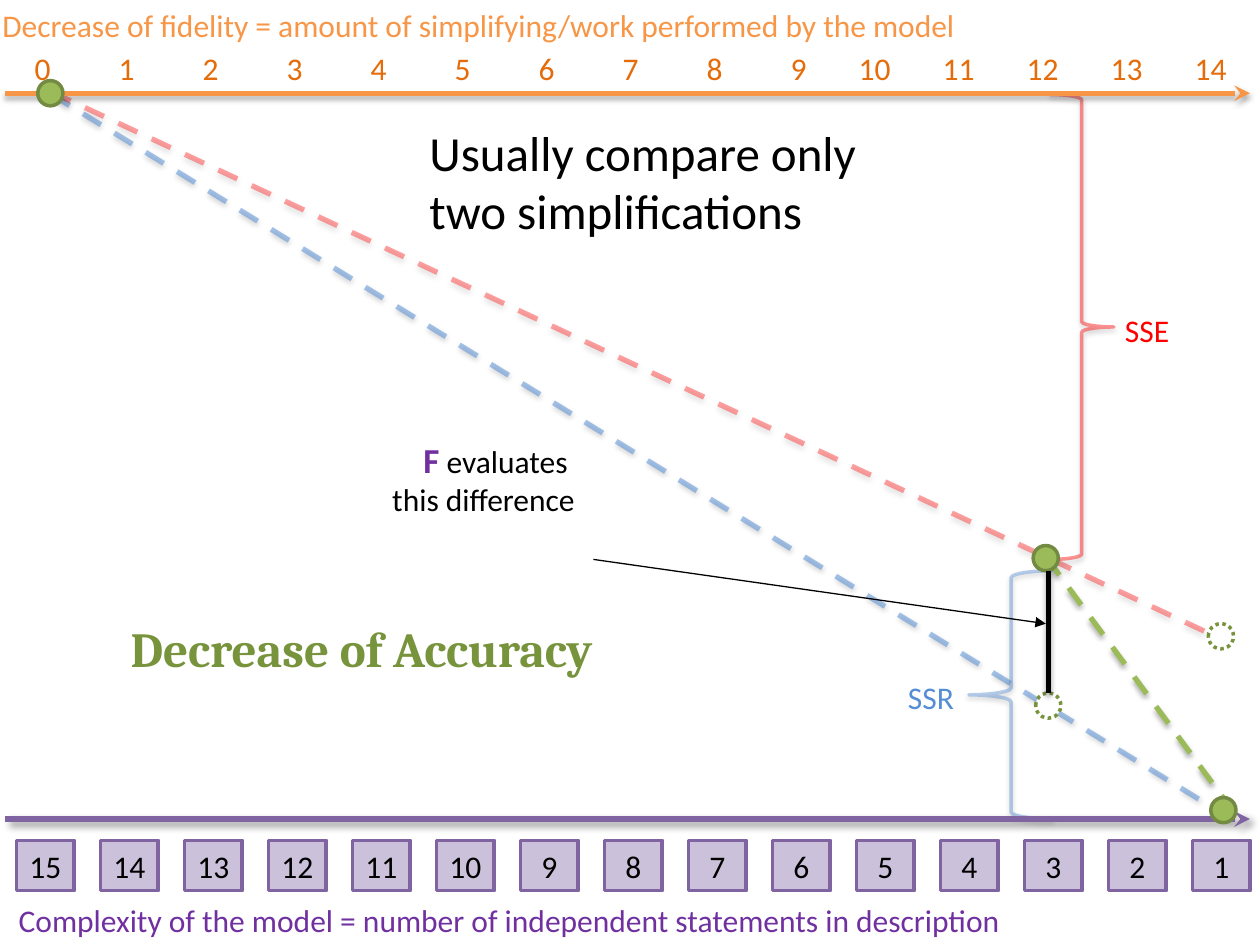
from typing import NamedTuple, Optional

from lxml.etree import SubElement as Sub
from pptx import Presentation
from pptx.dml.color import RGBColor as RGB
from pptx.enum.dml import MSO_LINE as Dash
from pptx.enum.shapes import MSO_CONNECTOR as Link, MSO_SHAPE as Form
from pptx.enum.text import MSO_ANCHOR as Anchor, MSO_AUTO_SIZE as Fit, PP_ALIGN as Align
from pptx.oxml.ns import qn
from pptx.util import Inches, Pt

# The slide is a grid of 100 columns by 75 rows of square cells.
CELL = Inches(0.1)
COLS, ROWS = 100, 75
STEPS = 15
PITCH = COLS / STEPS

BLACK = RGB(0x00, 0x00, 0x00)
WHITE = RGB(0xFF, 0xFF, 0xFF)
RED = RGB(0xFF, 0x00, 0x00)
BLUE = RGB(0x55, 0x8E, 0xD5)
GREEN = RGB(0x9B, 0xBB, 0x59)
MOSS = RGB(0x77, 0x93, 0x3C)
RIM = RGB(0x73, 0x8A, 0x42)
ORANGE = RGB(0xF7, 0x96, 0x46)
RUST = RGB(0xE4, 0x6C, 0x0A)
PURPLE = RGB(0x80, 0x64, 0xA2)
LILAC = RGB(0xCC, 0xC1, 0xDA)
VIOLET = RGB(0x70, 0x30, 0xA0)


class Box(NamedTuple):
    x: float
    y: float
    w: float
    h: float


class Shade(NamedTuple):
    alpha: int
    blur: float
    dist: float
    angle: int


class Pen(NamedTuple):
    color: RGB
    width: float
    dash: Optional[Dash] = None
    alpha: int = 100
    head: str = ""
    shade: Optional[Shade] = None


class Words(NamedTuple):
    text: str
    color: RGB
    size: int = 18
    bold: bool = False
    face: str = "Calibri"


class Note(NamedTuple):
    box: Box
    words: Words
    align: Align = Align.LEFT


class Trend(NamedTuple):
    start: tuple
    end: tuple
    pen: Pen


class Brace(NamedTuple):
    box: Box
    color: RGB
    flip: bool


SOFT = Shade(35, 3.1, 1.8, 90)
EVEN = Shade(38, 3.1, 1.6, 90)
DEEP = Shade(40, 4, 3, 45)

TRENDS = [
    Trend((83.1, 44.3), (98.4, 65.1), Pen(GREEN, 3, Dash.DASH, shade=SOFT)),
    Trend((4.1, 7.5), (98.2, 65.3), Pen(BLUE, 3, Dash.DASH, 52, shade=SOFT)),
    Trend((4.1, 7.3), (97.1, 50.8), Pen(RED, 3, Dash.DASH, 37, shade=SOFT)),
]
BRACES = [
    Brace(Box(83.3, 7.5, 5.1, 36.9), RED, False),
    Brace(Box(76.9, 45.3, 6.7, 19.7), BLUE, True),
]
NOTES = [
    Note(Box(3, 48.6, 51.4, 5.7),
         Words("Decrease of Accuracy", MOSS, 28, True, "Cambria"), Align.CENTER),
    Note(Box(33.1, 9.2, 40.2, 10.4),
         Words("Usually compare only two simplifications", BLACK, 28)),
    Note(Box(88.3, 24.2, 11.1, 4.2), Words("SSE", RED)),
    Note(Box(65.6, 53.3, 11.1, 4.2), Words("SSR", BLUE), Align.RIGHT),
    Note(Box(-0.8, 0, 82.5, 4), Words(
        "Decrease of fidelity = amount of simplifying/work performed by the model", ORANGE)),
    Note(Box(0.5, 71, 82.5, 4), Words(
        "Complexity of the model = number of independent statements in description", VIOLET)),
]
AXES = [
    (7.4, Pen(ORANGE, 3, head="stealth", shade=SOFT)),
    (65, Pen(PURPLE, 3, head="stealth", shade=DEEP)),
]
DOT = 2
FULL = [(96.1, 63.3), (3, 6.4), (82, 43.3)]
HOLLOW = [(82.2, 55), (95.9, 49.5)]


def cells(*spans: float) -> list:
    return [round(span * CELL) for span in spans]


def ink(shape, pen: Pen) -> None:
    """Set the outline, its end and the shadow, in the order the schema asks for."""
    line = shape.line
    line.color.rgb = pen.color
    line.width = Pt(pen.width)
    if pen.dash:
        line.dash_style = pen.dash
    props = shape.element.spPr
    edge = props.find(qn("a:ln"))
    if pen.alpha < 100:
        tint = edge.find(".//" + qn("a:srgbClr"))
        Sub(tint, qn("a:alpha"), val=str(pen.alpha * 1000))
    if pen.head:
        Sub(edge, qn("a:tailEnd"), type=pen.head)
    glow = Sub(props, qn("a:effectLst"))
    if pen.shade:
        shade = pen.shade
        cast = Sub(glow, qn("a:outerShdw"), blurRad=str(Pt(shade.blur)),
                   dist=str(Pt(shade.dist)), dir=str(shade.angle * 60000), rotWithShape="0")
        tint = Sub(cast, qn("a:srgbClr"), val=str(BLACK))
        Sub(tint, qn("a:alpha"), val=str(shade.alpha * 1000))


def style(font, words: Words) -> None:
    font.name, font.size, font.bold = words.face, Pt(words.size), words.bold
    font.color.rgb = words.color


def write(para, words: Words, align: Align) -> None:
    para.text = words.text
    para.alignment = align
    style(para.font, words)


def add_frame(slide, box: Box):
    frame = slide.shapes.add_textbox(*cells(*box)).text_frame
    frame.word_wrap = True
    frame.auto_size = Fit.SHAPE_TO_FIT_TEXT
    return frame


def add_note(slide, note: Note) -> None:
    write(add_frame(slide, note.box).paragraphs[0], note.words, note.align)


def add_form(slide, form: Form, box: Box, fill: Optional[RGB], pen: Pen):
    shape = slide.shapes.add_shape(form, *cells(*box))
    if fill is None:
        shape.fill.background()
    else:
        shape.fill.solid()
        shape.fill.fore_color.rgb = fill
    ink(shape, pen)
    return shape


def add_trend(slide, trend: Trend) -> None:
    draft = slide.shapes.build_freeform(*cells(*trend.start))
    draft.add_line_segments([cells(*trend.end)], close=False)
    shape = draft.convert_to_shape()
    shape.fill.background()
    ink(shape, trend.pen)


def add_line(slide, start: tuple, end: tuple, pen: Pen) -> None:
    ink(slide.shapes.add_connector(Link.STRAIGHT, *cells(*start, *end)), pen)


def add_brace(slide, brace: Brace) -> None:
    pen = Pen(brace.color, 2, alpha=41, shade=EVEN)
    shape = add_form(slide, Form.RIGHT_BRACE, brace.box, None, pen)
    if brace.flip:
        shape.element.spPr.find(qn("a:xfrm")).set("flipH", "1")


def add_step(slide, step: int) -> None:
    """Draw one count on the top axis and its tile below the bottom axis."""
    left = step * PITCH
    tile = add_form(slide, Form.RECTANGLE, Box(left + 1.3, 66.7, 4.6, 4), LILAC, Pen(PURPLE, 2))
    tile.text_frame.vertical_anchor = Anchor.MIDDLE
    write(tile.text_frame.paragraphs[0], Words(str(STEPS - step), BLACK), Align.CENTER)
    add_note(slide, Note(Box(left + 0.4, 3.4, 4.6, 4), Words(str(step), RUST), Align.RIGHT))


def add_claim(slide) -> None:
    frame = add_frame(slide, Box(28.7, 34.3, 17.9, 7.4))
    first = frame.paragraphs[0]
    first.alignment = Align.RIGHT
    for words in (Words("F", VIOLET, 20, True), Words(" evaluates ", BLACK)):
        run = first.add_run()
        run.text = words.text
        style(run.font, words)
    write(frame.add_paragraph(), Words("this difference", BLACK), Align.RIGHT)


def main() -> None:
    deck = Presentation()
    deck.slide_width, deck.slide_height = cells(COLS, ROWS)
    slide = deck.slides.add_slide(deck.slide_layouts[6])
    for trend in TRENDS:
        add_trend(slide, trend)
    for brace in BRACES:
        add_brace(slide, brace)
    for note in NOTES:
        add_note(slide, note)
    for step in reversed(range(STEPS)):
        add_step(slide, step)
    for row, pen in AXES:
        add_line(slide, (0.4, row), (99.2, row), pen)
    for spot in FULL:
        add_form(slide, Form.OVAL, Box(*spot, DOT, DOT), GREEN, Pen(RIM, 2))
    for spot in HOLLOW:
        add_form(slide, Form.OVAL, Box(*spot, DOT, DOT), WHITE, Pen(MOSS, 2, Dash.ROUND_DOT))
    add_claim(slide)
    add_line(slide, (83.2, 45.3), (83.2, 55), Pen(BLACK, 3, shade=SOFT))
    add_line(slide, (47.1, 44.4), (83, 49.5), Pen(BLACK, 0.75, head="triangle"))
    deck.save("out.pptx")


if __name__ == "__main__":
    main()
